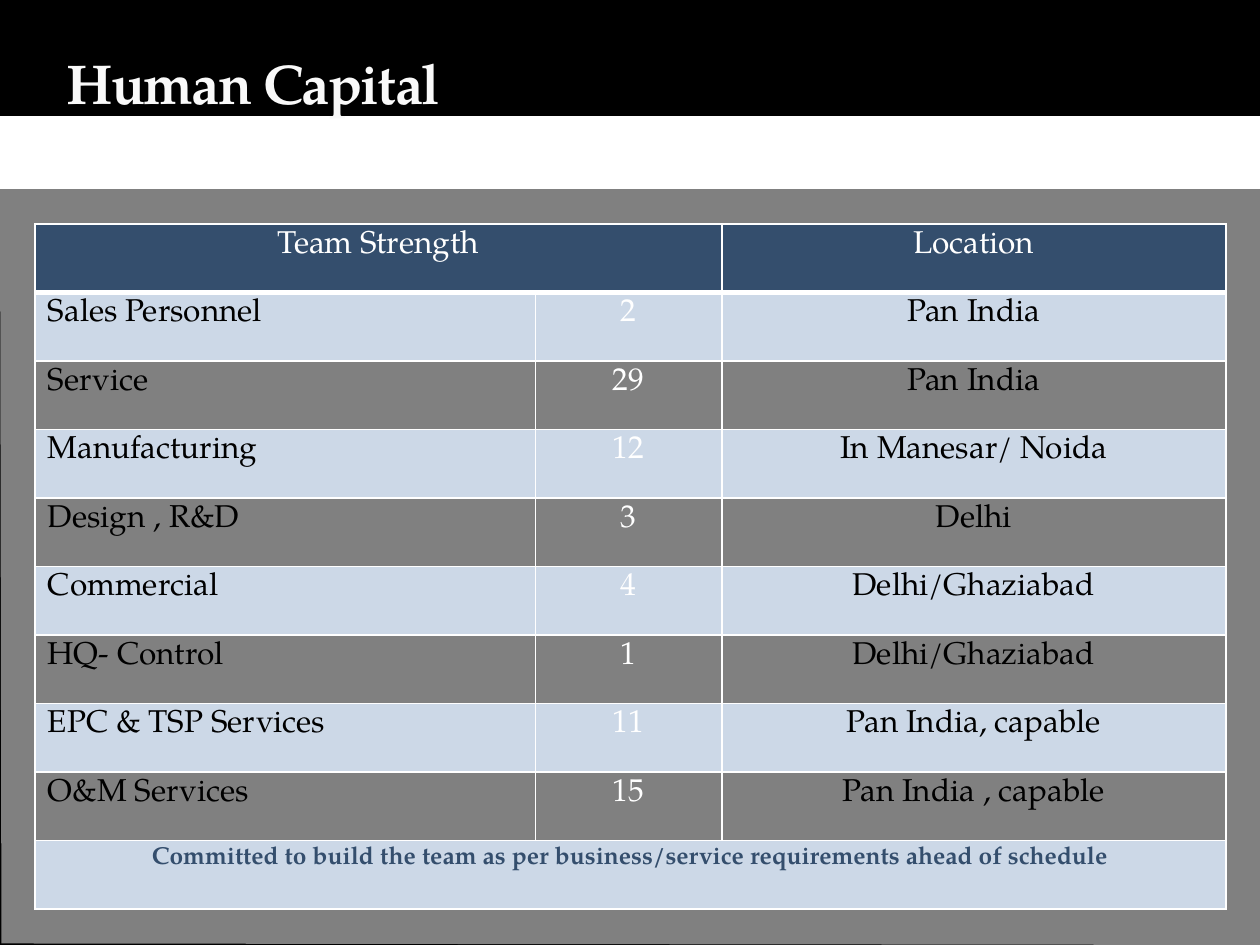
from lxml.etree import SubElement
from pptx import Presentation
from pptx.dml.color import RGBColor
from pptx.enum.shapes import MSO_SHAPE
from pptx.enum.text import MSO_ANCHOR, PP_ALIGN
from pptx.oxml.ns import qn
from pptx.util import Cm, Pt

BLACK = RGBColor(0x00, 0x00, 0x00)
WHITE = RGBColor(0xFF, 0xFF, 0xFF)
OFF_WHITE = RGBColor(0xF9, 0xF9, 0xF9)
NAVY = RGBColor(0x34, 0x4E, 0x6D)
PALE_BLUE = RGBColor(0xCC, 0xD8, 0xE7)
FONT = "TeX Gyre Pagella"

SLIDE_WIDTH, SLIDE_HEIGHT = Cm(25.4), Cm(19.05)
COLUMN_WIDTHS = (Cm(10.08), Cm(3.76), Cm(10.16))
TEAMS = [
    ("Sales Personnel", "2", "Pan India"),
    ("Service", "29", "Pan India"),
    ("Manufacturing", "12", "In Manesar/ Noida"),
    ("Design , R&D", "3", "Delhi"),
    ("Commercial", "4", "Delhi/Ghaziabad"),
    ("HQ- Control", "1", "Delhi/Ghaziabad"),
    ("EPC & TSP Services", "11", "Pan India, capable"),
    ("O&M Services", "15", "Pan India , capable"),
]
COMMITMENT = ("Committed to build the team as per business/service "
              "requirements ahead of schedule")


def write(frame, text, color, align=PP_ALIGN.LEFT, size=18, bold=False):
    paragraph = frame.paragraphs[0]
    paragraph.alignment = align
    run = paragraph.add_run()
    run.text = text
    run.font.color.rgb = color
    style = {"name": FONT, "size": Pt(size), "bold": bold}
    for attribute, value in style.items():
        setattr(run.font, attribute, value)
    return run


def paint_white(shape):
    shape.shadow.inherit = False
    shape.fill.solid()
    shape.fill.fore_color.rgb = WHITE
    shape.line.fill.background()


def add_backdrop(slide, left, top, width, height):
    """White band under the title and a half-transparent veil below it."""
    slide.background.fill.solid()
    slide.background.fill.fore_color.rgb = BLACK
    band = slide.shapes.add_shape(
        MSO_SHAPE.RECTANGLE, left, top + Cm(2.34), width, Cm(1.47))
    paint_white(band)

    veil_top, bottom = top + Cm(3.07), top + height
    outline = slide.shapes.build_freeform(left + Cm(0.03), bottom - Cm(0.03))
    outline.add_line_segments([
        (left + width + Cm(0.08), bottom),
        (left + width, veil_top),
        (left, veil_top),
    ])
    veil = outline.convert_to_shape()
    paint_white(veil)
    color = veil.fill._xPr.find(qn("a:solidFill"))[0]
    SubElement(color, qn("a:alpha"), val="50000")


def add_title(slide, left, top, width, height):
    frame = slide.shapes.add_textbox(left, top, width, height).text_frame
    frame.word_wrap = True
    frame.vertical_anchor = MSO_ANCHOR.BOTTOM
    title = write(frame, "Human Capital", OFF_WHITE, size=32, bold=True)
    title.font._element.set("spc", "-100")


def set_borders(cell, bottom_width):
    properties = cell._tc.get_or_add_tcPr()
    widths = {"lnL": 1, "lnR": 1, "lnT": 1, "lnB": bottom_width}
    for position, (side, points) in enumerate(widths.items()):
        line = properties.makeelement(qn(f"a:{side}"), {"w": str(Pt(points))})
        fill = SubElement(line, qn("a:solidFill"))
        SubElement(fill, qn("a:srgbClr"), val=str(WHITE))
        properties.insert(position, line)


def add_team_table(slide, left, top, width, height):
    row_count = len(TEAMS) + 2
    last = row_count - 1
    table = slide.shapes.add_table(
        row_count, len(COLUMN_WIDTHS), left, top, width, height).table
    table.first_row = table.horz_banding = False
    for column, column_width in zip(table.columns, COLUMN_WIDTHS):
        column.width = column_width

    for row_index, row in enumerate(table.rows):
        row.height = height // row_count
        for cell in row.cells:
            if row_index == 0 or row_index % 2:
                cell.fill.solid()
                cell.fill.fore_color.rgb = PALE_BLUE if row_index else NAVY
            else:
                cell.fill.background()
            set_borders(cell, bottom_width=1 if row_index else 3)

    table.cell(0, 0).merge(table.cell(0, 1))
    table.cell(last, 0).merge(table.cell(last, 2))
    for column, heading in ((0, "Team Strength"), (2, "Location")):
        write(table.cell(0, column).text_frame, heading, WHITE, PP_ALIGN.CENTER)
    column_styles = (
        (BLACK, PP_ALIGN.LEFT), (WHITE, PP_ALIGN.CENTER), (BLACK, PP_ALIGN.CENTER))
    for row_index, team in enumerate(TEAMS, start=1):
        for column, (text, style) in enumerate(zip(team, column_styles)):
            write(table.cell(row_index, column).text_frame, text, *style)
    write(table.cell(last, 0).text_frame, COMMITMENT, NAVY,
          PP_ALIGN.CENTER, size=14, bold=True)


def main():
    deck = Presentation()
    deck.slide_width, deck.slide_height = SLIDE_WIDTH, SLIDE_HEIGHT
    slide = deck.slides.add_slide(deck.slide_layouts[6])
    add_backdrop(slide, 0, 0, SLIDE_WIDTH, SLIDE_HEIGHT)
    add_title(slide, Cm(1.09), Cm(0.53), Cm(9.09), Cm(1.93))
    add_team_table(slide, Cm(0.71), Cm(4.52), sum(COLUMN_WIDTHS), Cm(13.8))
    deck.save("out.pptx")


if __name__ == "__main__":
    main()
